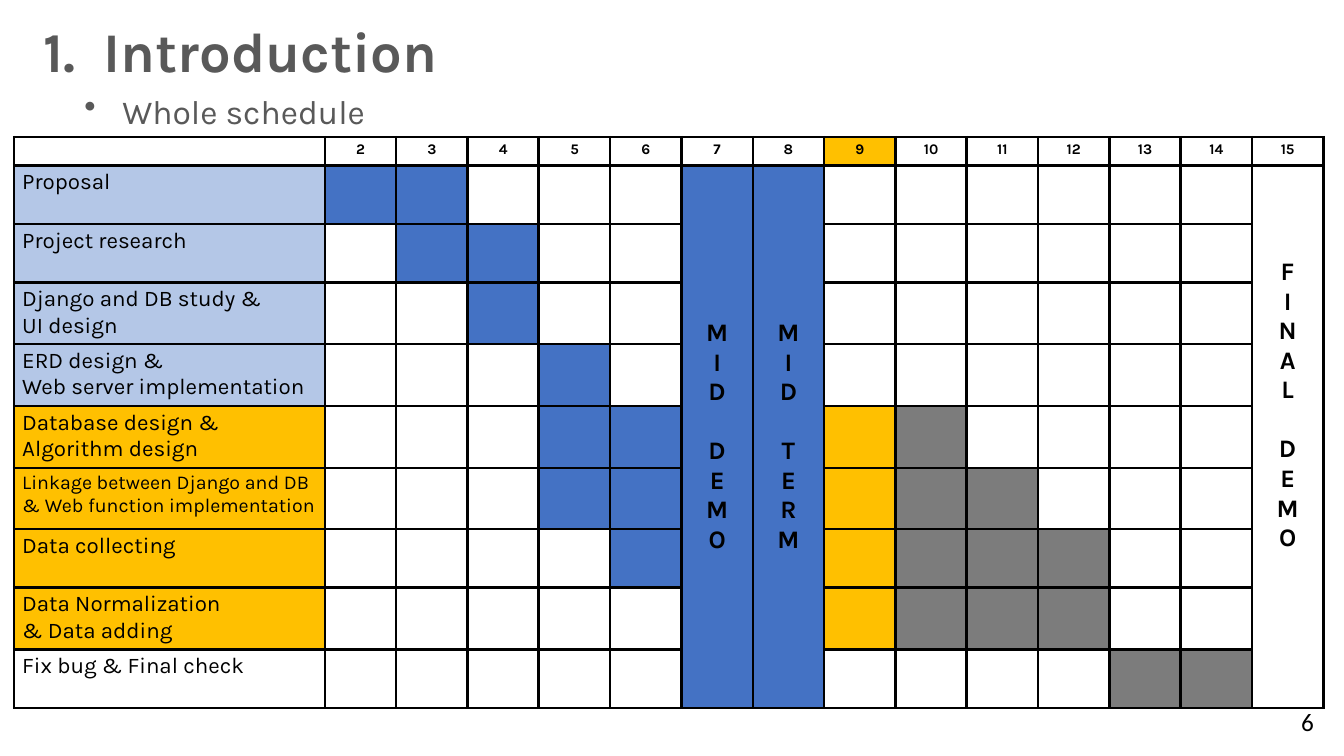
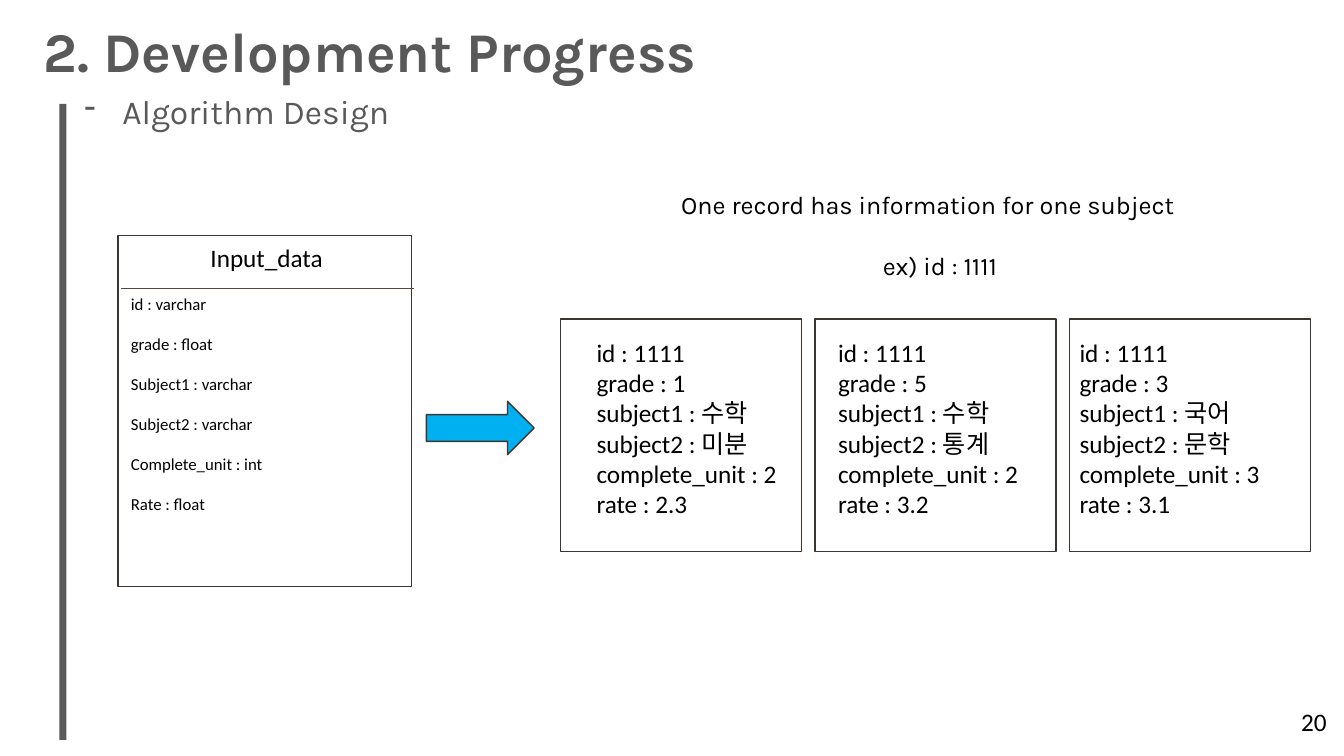
from lxml.etree import SubElement
from pptx import Presentation
from pptx.dml.color import RGBColor
from pptx.enum.shapes import MSO_CONNECTOR, MSO_SHAPE
from pptx.enum.text import MSO_ANCHOR, PP_ALIGN
from pptx.oxml.ns import qn
from pptx.util import Pt

BLACK = RGBColor(0x00, 0x00, 0x00)
WHITE = RGBColor(0xFF, 0xFF, 0xFF)
SLATE = RGBColor(0x59, 0x59, 0x59)
BLUE = RGBColor(0x44, 0x72, 0xC4)
PALE_BLUE = RGBColor(0xB4, 0xC7, 0xE7)
GOLD = RGBColor(0xFF, 0xC0, 0x00)
GRAY = RGBColor(0x7C, 0x7C, 0x7C)
SKY = RGBColor(0x00, 0xB0, 0xF0)
OUTLINE = RGBColor(0x3D, 0x35, 0x2F)
DIVIDER = RGBColor(0x53, 0x48, 0x3F)

TITLE = {"name": "Karla", "size": Pt(40), "bold": True, "color": SLATE}
SUBTITLE = {"name": "Karla", "size": Pt(24), "color": SLATE}
NOTE = {"name": "Karla", "size": Pt(18), "color": BLACK}
BODY = {"name": "Calibri", "size": Pt(18), "color": BLACK}
FIELD = {**BODY, "size": Pt(12)}
WEEK = {**NOTE, "size": Pt(10.5), "bold": True}
MILESTONE = {**NOTE, "bold": True}

CELL_INSETS = {"margin_left": Pt(5.8), "margin_right": Pt(5.8),
               "margin_top": Pt(2.9), "margin_bottom": Pt(2.9)}
CENTERED = {"alignment": PP_ALIGN.CENTER}
THIN, THICK = Pt(1.98), Pt(2.55)
LETTER_LINE = 21

WEEKS = range(2, 16)
CURRENT_WEEK = 9
THICK_AFTER_WEEKS = (4, 10)
TASKS = [
    (("Proposal",), 16, PALE_BLUE, {2: BLUE, 3: BLUE}),
    (("Project research",), 16, PALE_BLUE, {3: BLUE, 4: BLUE}),
    (("Django and DB study &", "UI design"), 16, PALE_BLUE, {4: BLUE}),
    (("ERD design &", "Web server implementation"), 16, PALE_BLUE, {5: BLUE}),
    (("Database design &", "Algorithm design"), 16, GOLD,
     {5: BLUE, 6: BLUE, 9: GOLD, 10: GRAY}),
    (("Linkage between Django and DB", "& Web function implementation"), 14, GOLD,
     {5: BLUE, 6: BLUE, 9: GOLD, 10: GRAY, 11: GRAY}),
    (("Data collecting",), 16, GOLD,
     {6: BLUE, 9: GOLD, 10: GRAY, 11: GRAY, 12: GRAY}),
    (("Data Normalization", "& Data adding"), 16, GOLD,
     {9: GOLD, 10: GRAY, 11: GRAY, 12: GRAY}),
    (("Fix bug & Final check",), 16, WHITE, {13: GRAY, 14: GRAY}),
]
MIDDLE = {"vertical_anchor": MSO_ANCHOR.MIDDLE}
MILESTONES = [
    (7, "MID DEMO", BLUE, MIDDLE),
    (8, "MID TERM", BLUE, MIDDLE),
    (15, "FINAL DEMO", WHITE, {"margin_top": Pt(2.9 + 3 * LETTER_LINE)}),
]

FIELDS = ["id : varchar", "grade : float", "Subject1 : varchar",
          "Subject2 : varchar", "Complete_unit : int", "Rate : float"]
RECORD_KEYS = ["id", "grade", "subject1", "subject2", "complete_unit", "rate"]
RECORDS = [
    ("1111", "1", "수학", "미분", "2", "2.3"),
    ("1111", "5", "수학", "통계", "2", "3.2"),
    ("1111", "3", "국어", "문학", "3", "3.1"),
]


def set_values(target, values):
    for name, value in values.items():
        if name == "color":
            target.color.rgb = value
        else:
            setattr(target, name, value)


def write_lines(frame, lines, font, layout=None):
    for index, line in enumerate(lines):
        paragraph = frame.add_paragraph() if index else frame.paragraphs[0]
        set_values(paragraph, layout or {})
        run = paragraph.add_run()
        run.text = line
        set_values(run.font, font)


def add_text(slide, box, lines, font, wrap=False):
    frame = slide.shapes.add_textbox(*map(Pt, box)).text_frame
    frame.word_wrap = wrap
    write_lines(frame, lines, font)
    return frame


def add_bullet(paragraph, symbol):
    properties = paragraph._p.get_or_add_pPr()
    properties.set("marL", str(Pt(27)))
    properties.set("indent", str(Pt(-27)))
    SubElement(properties, qn("a:buChar")).set("char", symbol)


def add_figure(slide, kind, box, fill=None, line=None):
    shape = slide.shapes.add_shape(kind, *map(Pt, box))
    shape.shadow.inherit = False
    if fill is None:
        shape.fill.background()
    else:
        shape.fill.solid()
        shape.fill.fore_color.rgb = fill
    if line is None:
        shape.line.fill.background()
    else:
        set_values(shape.line, {"color": line, "width": Pt(1)})


def add_divider(slide, left, right, top):
    connector = slide.shapes.add_connector(
        MSO_CONNECTOR.STRAIGHT, Pt(left), Pt(top), Pt(right), Pt(top))
    set_values(connector.line, {"color": DIVIDER, "width": Pt(0.5)})
    SubElement(connector._element.spPr, qn("a:effectLst"))


def add_page(presentation, title, subtitle, bullet, number):
    slide = presentation.slides.add_slide(presentation.slide_layouts[6])
    add_text(slide, (24, 8.6, 560, 55.4), [title], TITLE, wrap=True)
    frame = add_text(slide, (53.3, 61.2, 906, 36), [subtitle], SUBTITLE, wrap=True)
    add_bullet(frame.paragraphs[0], bullet)
    add_text(slide, (922.3, 501, 14.4 + 9.2 * len(number), 29), [number], BODY)
    return slide


def set_borders(cell, left, right):
    properties = cell._tc.get_or_add_tcPr()
    for tag, width in (("lnL", left), ("lnR", right), ("lnT", THIN), ("lnB", THIN)):
        line = SubElement(properties, qn(f"a:{tag}"), w=str(width))
        fill = SubElement(line, qn("a:solidFill"))
        SubElement(fill, qn("a:srgbClr"), val=str(BLACK))


def format_cell(cell, week, fill):
    set_borders(cell,
                THICK if week - 1 in THICK_AFTER_WEEKS else THIN,
                THICK if week in THICK_AFTER_WEEKS else THIN)
    cell.fill.solid()
    cell.fill.fore_color.rgb = fill
    set_values(cell, CELL_INSETS)


def set_empty_size(cell):
    SubElement(cell.text_frame.paragraphs[0]._p, qn("a:endParaRPr"), sz="1050")


def add_milestone(table, week, text, fill, layout):
    column = week - 1
    cell = table.cell(1, column)
    cell.merge(table.cell(len(TASKS), column))
    cell.fill.fore_color.rgb = fill
    set_values(cell, layout)
    write_lines(cell.text_frame, text.replace(" ", ""), MILESTONE, CENTERED)
    second_word = cell.text_frame.paragraphs[text.index(" ")]
    second_word.space_before = Pt(LETTER_LINE)


def add_schedule(slide):
    shape = slide.shapes.add_table(len(TASKS) + 1, len(WEEKS) + 1,
                                   Pt(10.1), Pt(97.9), Pt(935.3), Pt(405.4))
    table = shape.table
    set_values(table, {"first_row": False, "horz_banding": False})
    for index, column in enumerate(table.columns):
        column.width = Pt(50.95 if index else 222)
    table.rows[0].height = Pt(20.2)

    corner = table.cell(0, 0)
    format_cell(corner, 1, WHITE)
    set_empty_size(corner)
    for week in WEEKS:
        cell = table.cell(0, week - 1)
        format_cell(cell, week, GOLD if week == CURRENT_WEEK else WHITE)
        write_lines(cell.text_frame, [str(week)], WEEK, CENTERED)

    for row, (lines, size, label_fill, bars) in enumerate(TASKS, 1):
        table.rows[row].height = Pt(43.6 if len(lines) > 1 else 41.8)
        label = table.cell(row, 0)
        format_cell(label, 1, label_fill)
        write_lines(label.text_frame, lines, {**NOTE, "size": Pt(size)})
        for week in WEEKS:
            cell = table.cell(row, week - 1)
            format_cell(cell, week, bars.get(week, WHITE))

    for milestone in MILESTONES:
        add_milestone(table, *milestone)


def add_input_data(slide):
    add_figure(slide, MSO_SHAPE.RECTANGLE, (84.4, 168.4, 209.6, 250.4), line=OUTLINE)
    add_divider(slide, 86.4, 295.9, 205.9)
    add_text(slide, (143.3, 169.2, 95.8, 29), ["Input_data"], BODY)
    frame = add_text(slide, (86.4, 205.9, 130, 181.4), FIELDS, FIELD, wrap=True)
    for paragraph in frame.paragraphs[1:]:
        paragraph.space_before = Pt(14.2)


def add_records(slide):
    for index, record in enumerate(RECORDS):
        add_figure(slide, MSO_SHAPE.RECTANGLE,
                   (400.4 + 181.8 * index, 227.8, 172, 166), line=OUTLINE)
        lines = [f"{key} : {value}" for key, value in zip(RECORD_KEYS, record)]
        add_text(slide, (419 + 172.5 * index, 237.3, 144.7, 138.2), lines, BODY)


def add_record_note(slide):
    lines = ["One record has information for one subject", "ex) id : 1111"]
    frame = add_text(slide, (479.5, 131.8, 383.8, 72.7), lines, NOTE, wrap=True)
    set_values(frame.paragraphs[1], {**CENTERED, "space_before": Pt(22)})


def main():
    presentation = Presentation()
    set_values(presentation, {"slide_width": Pt(960), "slide_height": Pt(540)})

    schedule = add_page(presentation, "1.  Introduction", "Whole schedule", "•", "6")
    add_schedule(schedule)

    design = add_page(presentation, "2. Development Progress", "Algorithm Design", "-", "20")
    add_input_data(design)
    add_records(design)
    add_figure(design, MSO_SHAPE.RIGHT_ARROW, (304.6, 286.6, 77, 38.2), SKY, OUTLINE)
    add_record_note(design)
    add_figure(design, MSO_SHAPE.RECTANGLE, (42.5, 74.2, 5, 454.3), SLATE)

    presentation.save("out.pptx")


if __name__ == "__main__":
    main()
